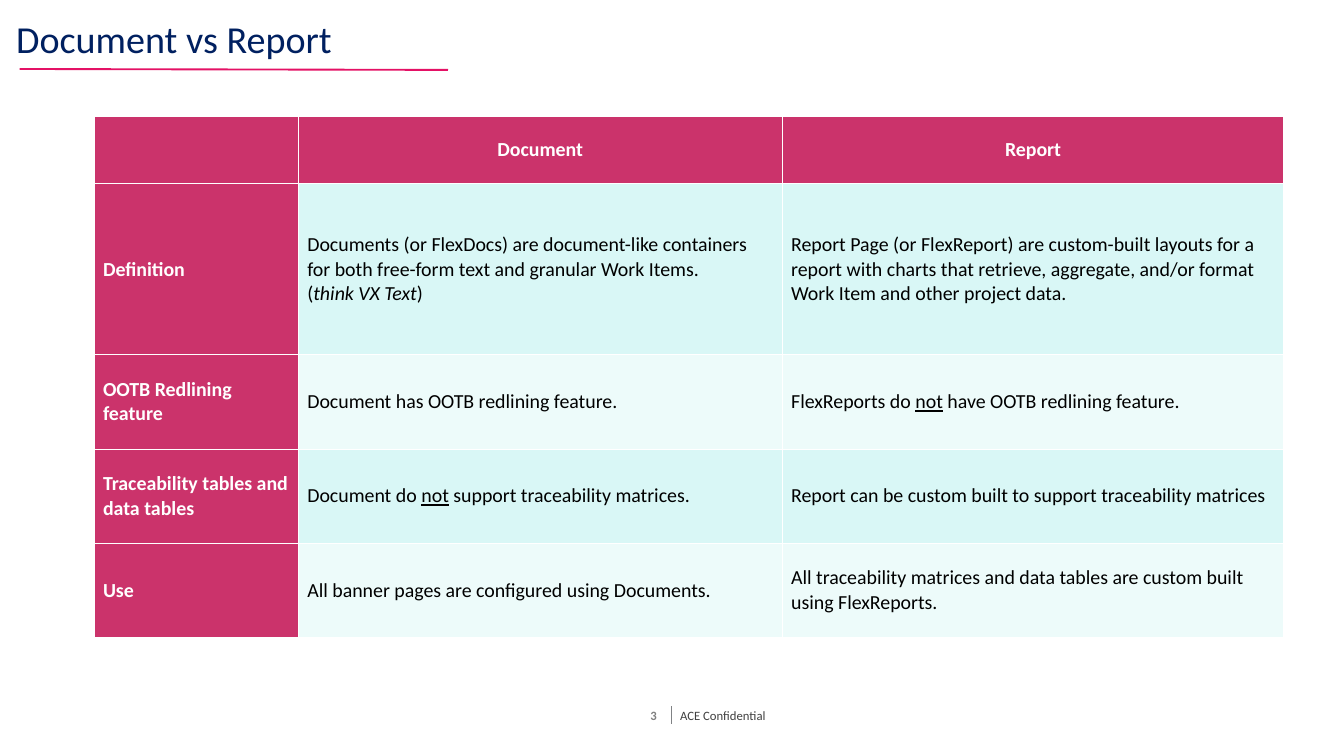
from dataclasses import dataclass

import pptx
import pptx.dml.color
import pptx.enum.shapes
import pptx.enum.text
import pptx.oxml
import pptx.oxml.ns
import pptx.util
from pptx.util import Inches

Align = pptx.enum.text.PP_ALIGN
Anchor = pptx.enum.text.MSO_ANCHOR


@dataclass(frozen=True)
class Theme:
    font: str = "Calibri"
    title: str = "002060"
    accent: str = "E41165"
    header: str = "CB336B"
    bands: tuple[str, str] = ("D9F7F6", "EDFBFA")
    white: str = "FFFFFF"
    body: str = "000000"
    divider: str = "808285"
    page_number: str = "808080"
    footer: str = "404040"
    title_size: float = 30.6
    table_size: float = 16
    footer_size: float = 10.2


@dataclass(frozen=True)
class Run:
    text: str
    italic: bool = False
    underline: bool = False


@dataclass(frozen=True)
class Style:
    size: float
    color: str
    bold: bool = False


@dataclass(frozen=True)
class Topic:
    label: str
    document: list[list[Run]]
    report: list[list[Run]]


THEME = Theme()
COLUMN_WIDTHS = (2.28, 5.4, 5.6)
ROW_HEIGHTS = (0.75, 1.91, 1.05, 1.05, 1.05)


def plain(text: str) -> list[list[Run]]:
    return [[Run(text)]]


TOPICS = [
    Topic(
        "Definition",
        [
            [Run("Documents (or FlexDocs) are document-like containers for both "
                 "free-form text and granular Work Items.")],
            [Run("("), Run("think VX Text", italic=True), Run(")")],
        ],
        plain("Report Page (or FlexReport) are custom-built layouts for a report with charts "
              "that retrieve, aggregate, and/or format Work Item and other project data."),
    ),
    Topic(
        "OOTB Redlining feature",
        plain("Document has OOTB redlining feature."),
        [[Run("FlexReports do "), Run("not", underline=True),
          Run(" have OOTB redlining feature.")]],
    ),
    Topic(
        "Traceability tables and data tables",
        [[Run("Document do "), Run("not", underline=True),
          Run(" support traceability matrices.")]],
        plain("Report can be custom built to support traceability matrices"),
    ),
    Topic(
        "Use",
        plain("All banner pages are configured using Documents."),
        plain("All traceability matrices and data tables are custom built using FlexReports."),
    ),
]


def rgb(color: str) -> pptx.dml.color.RGBColor:
    return pptx.dml.color.RGBColor.from_string(color)


def write(frame: pptx.text.text.TextFrame, paragraphs: list[list[Run]], style: Style,
          align: Align = Align.LEFT) -> None:
    for index, runs in enumerate(paragraphs):
        paragraph = frame.add_paragraph() if index else frame.paragraphs[0]
        paragraph.alignment = align
        for part in runs:
            run = paragraph.add_run()
            run.text = part.text
            run.font.name = THEME.font
            run.font.size = pptx.util.Pt(style.size)
            run.font.color.rgb = rgb(style.color)
            run.font.bold = style.bold
            run.font.italic = part.italic
            run.font.underline = part.underline


def add_title(slide: pptx.slide.Slide, text: str) -> None:
    title = slide.shapes.title
    title.left, title.top = Inches(0.08), Inches(0.18)
    title.width, title.height = Inches(15.12), Inches(0.98)
    frame = title.text_frame
    frame.auto_size = pptx.enum.text.MSO_AUTO_SIZE.NONE
    frame.vertical_anchor = Anchor.TOP
    write(frame, plain(text), Style(THEME.title_size, THEME.title))
    frame.paragraphs[0].line_spacing = 0.9


def add_line(slide: pptx.slide.Slide, start: tuple[float, float], end: tuple[float, float],
             color: str, width: float) -> None:
    line = slide.shapes.add_connector(
        pptx.enum.shapes.MSO_CONNECTOR.STRAIGHT, *map(Inches, start + end))
    line.line.color.rgb = rgb(color)
    line.line.width = pptx.util.Pt(width)
    properties = line._element.spPr
    properties.append(properties.makeelement(pptx.oxml.ns.qn("a:effectLst"), {}))


def add_footer_text(slide: pptx.slide.Slide, text: str, left: float, width: float,
                    inset: float, style: Style, align: Align) -> None:
    box = slide.shapes.add_textbox(Inches(left), Inches(7.88), Inches(width), Inches(0.2))
    frame = box.text_frame
    frame.word_wrap = True
    frame.vertical_anchor = Anchor.MIDDLE
    frame.margin_left = Inches(inset)
    write(frame, plain(text), style, align)


def format_cell(cell: pptx.table._Cell, fill: str) -> None:
    properties = cell._tc.get_or_add_tcPr()
    for side in ("lnL", "lnR", "lnT", "lnB"):
        properties.append(pptx.oxml.parse_xml(
            f'<a:{side} {pptx.oxml.ns.nsdecls("a")} w="{pptx.util.Pt(1)}"><a:solidFill>'
            f'<a:srgbClr val="{THEME.white}"/></a:solidFill></a:{side}>'))
    cell.fill.solid()
    cell.fill.fore_color.rgb = rgb(fill)
    cell.vertical_anchor = Anchor.MIDDLE


def add_comparison(slide: pptx.slide.Slide) -> None:
    table = slide.shapes.add_table(
        len(ROW_HEIGHTS), len(COLUMN_WIDTHS), Inches(1.05), Inches(1.3),
        Inches(sum(COLUMN_WIDTHS)), Inches(sum(ROW_HEIGHTS))).table
    table.horz_banding = False
    for column, width in zip(table.columns, COLUMN_WIDTHS):
        column.width = Inches(width)
    for row, height in zip(table.rows, ROW_HEIGHTS):
        row.height = Inches(height)

    heading = Style(THEME.table_size, THEME.white, bold=True)
    body = Style(THEME.table_size, THEME.body)
    for column, label in enumerate(("", "Document", "Report")):
        cell = table.cell(0, column)
        format_cell(cell, THEME.header)
        if label:
            write(cell.text_frame, plain(label), heading, Align.CENTER)
    for row, topic in enumerate(TOPICS, start=1):
        band = THEME.bands[(row - 1) % 2]
        contents = (
            (plain(topic.label), heading, THEME.header),
            (topic.document, body, band),
            (topic.report, body, band),
        )
        for column, (paragraphs, style, fill) in enumerate(contents):
            cell = table.cell(row, column)
            format_cell(cell, fill)
            write(cell.text_frame, paragraphs, style)


def main() -> None:
    deck = pptx.Presentation()
    deck.slide_width, deck.slide_height = Inches(15), Inches(8.2)
    slide = deck.slides.add_slide(deck.slide_layouts[5])
    add_line(slide, (7.49, 7.88), (7.49, 8.08), THEME.divider, 0.5)
    add_footer_text(slide, "3", 7.05, 0.49, 0.1,
                    Style(THEME.footer_size, THEME.page_number, bold=True), Align.CENTER)
    add_footer_text(slide, "ACE Confidential", 7.52, 3.08, 0.07,
                    Style(THEME.footer_size, THEME.footer), Align.LEFT)
    add_comparison(slide)
    add_title(slide, "Document vs Report")
    add_line(slide, (0.22, 0.77), (5, 0.78), THEME.accent, 1.5)
    deck.save("out.pptx")


if __name__ == "__main__":
    main()
